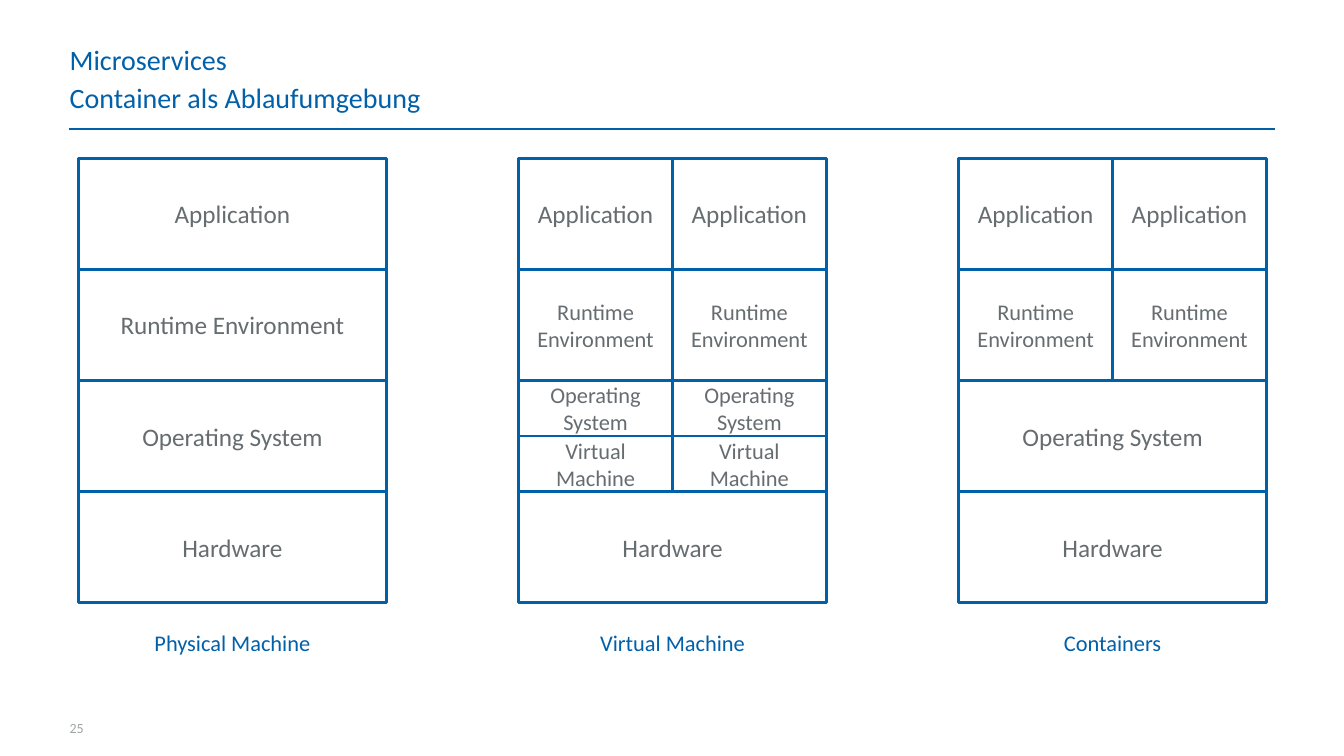
import pptx
import pptx.util
import pptx.dml.color
import pptx.enum.text
import pptx.enum.shapes
import lxml.etree

Inches = pptx.util.Inches
Pt = pptx.util.Pt
Align = pptx.enum.text.PP_ALIGN
Anchor = pptx.enum.text.MSO_ANCHOR
BLUE, GRAY, PALE = "0060A9", "666D71", "A0A3A5"


def paint(target, tint):
    target.rgb = pptx.dml.color.RGBColor.from_string(tint)


def write(shape, text, size, tint, pad=(0, 0), anchor=Anchor.MIDDLE, **form):
    """Fill a shape with one paragraph; pad is (side, top) and form holds paragraph settings."""
    frame = shape.text_frame
    side, top = map(Inches, pad)
    look = {"word_wrap": True, "auto_size": pptx.enum.text.MSO_AUTO_SIZE.NONE,
            "vertical_anchor": anchor, "margin_left": side, "margin_right": side,
            "margin_top": top, "margin_bottom": top}
    for key, value in look.items():
        setattr(frame, key, value)
    para = frame.paragraphs[0]
    para.text = text
    for key, value in form.items():
        setattr(para, key, value)
    font = para.runs[0].font
    font.name, font.size = "Calibri", Pt(size)
    paint(font.color, tint)


deck = pptx.Presentation()
deck.slide_width, deck.slide_height = Inches(13.33), Inches(7.5)
slide = deck.slides.add_slide(deck.slide_layouts[1])
shapes = slide.shapes

# Heading
rule = shapes.add_connector(pptx.enum.shapes.MSO_CONNECTOR.STRAIGHT,
                            Inches(0.68), Inches(1.28), Inches(12.65), Inches(1.28))
rule.line.width = Pt(2)
paint(rule.line.color, BLUE)
lxml.etree.SubElement(rule.element.spPr, pptx.oxml.ns.qn("a:effectLst"))

title, body = shapes.title, slide.placeholders[1]
props = body.text_frame.paragraphs[0]._p.get_or_add_pPr()
props.set("marL", "0")
props.set("indent", "0")
lxml.etree.SubElement(props, pptx.oxml.ns.qn("a:buNone"))
for holder, text, top in ((title, "Microservices", 0.4),
                          (body, "Container als Ablaufumgebung", 0.78)):
    holder.left, holder.top = Inches(0.69), Inches(top)
    holder.width, holder.height = Inches(11.96), Inches(0.37)
    write(holder, text, 20, BLUE, alignment=Align.LEFT,
          space_before=Pt(0), space_after=Pt(3))

# Stacks: each layer has a name, a count of cells, a height in rows and a text size
ROW, WIDE, TOP = 1.1025, 3.05, 1.57
app, run = ("Application", 2, 1, 18), ("Runtime Environment", 2, 1, 16)
system, hard = ("Operating System", 1, 1, 18), ("Hardware", 1, 1, 18)
stacks = {
    "Physical Machine": [("Application", 1, 1, 18), ("Runtime Environment", 1, 1, 18),
                         system, hard],
    "Virtual Machine": [app, run, ("Operating System", 2, 0.5, 16),
                        ("Virtual Machine", 2, 0.5, 16), hard],
    "Containers": [app, run, system, hard],
}
for index, (label, layers) in enumerate(stacks.items()):
    left, top = 0.78 + 4.365 * index, TOP
    for name, count, rows, size in layers:
        width, height = WIDE / count, ROW * rows
        for cell in range(count):
            box = shapes.add_shape(pptx.enum.shapes.MSO_SHAPE.RECTANGLE,
                                   Inches(left + cell * width), Inches(top),
                                   Inches(width), Inches(height))
            box.shadow.inherit = False
            box.fill.background()
            box.line.width = Pt(2)
            paint(box.line.color, BLUE)
            write(box, name, size, GRAY, (0.08, 0.06), alignment=Align.CENTER)
        top += height
    note = shapes.add_textbox(Inches(left + 0.33), Inches(6.19), Inches(2.39), Inches(0.37))
    write(note, label, 16, BLUE, (0.1, 0.05), Anchor.TOP,
          alignment=Align.CENTER, space_after=Pt(3))

page = shapes.add_textbox(Inches(0.69), Inches(7.1), Inches(0.52), Inches(0.16))
write(page, "25", 10, PALE, line_spacing=1.5)

deck.save("out.pptx")
